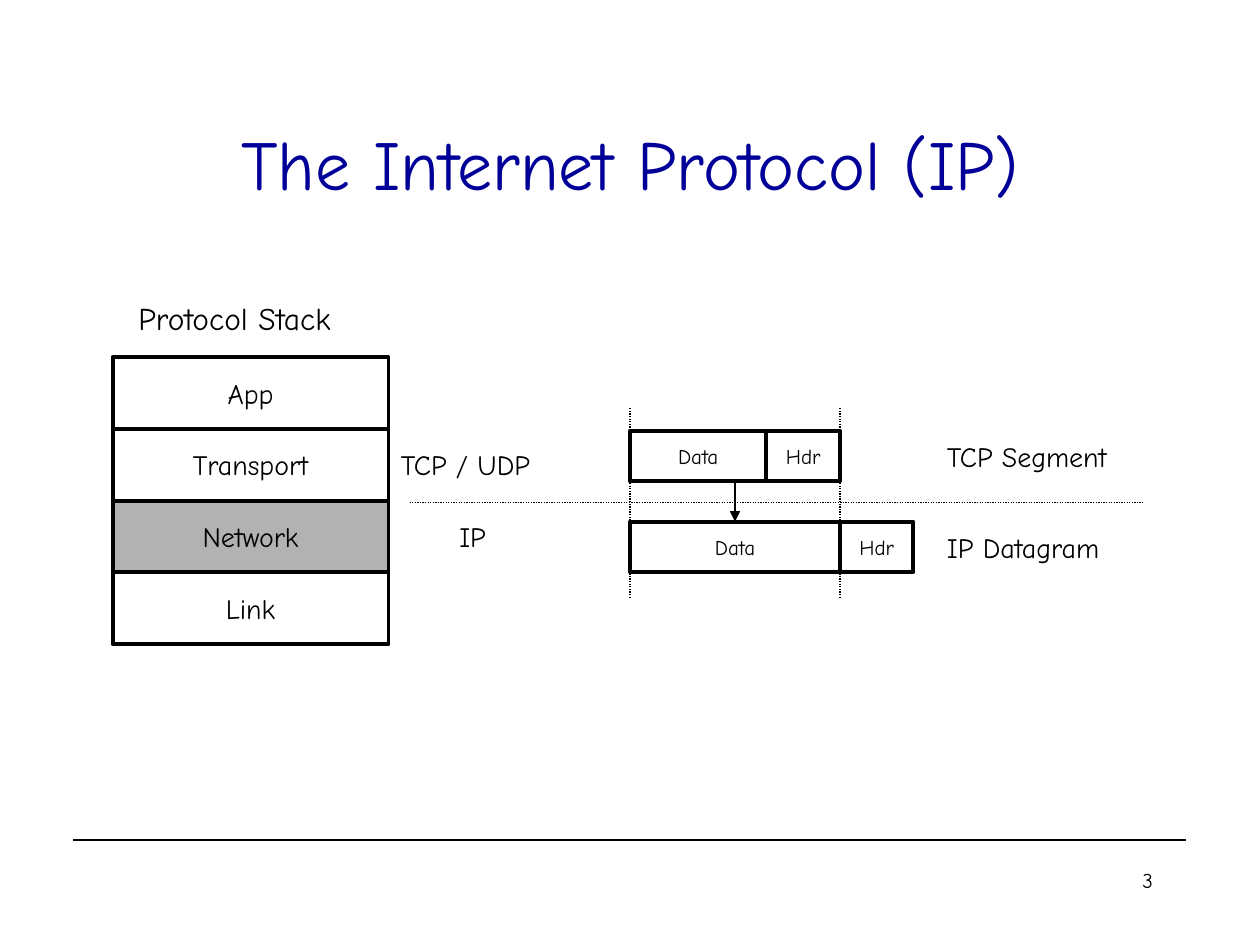
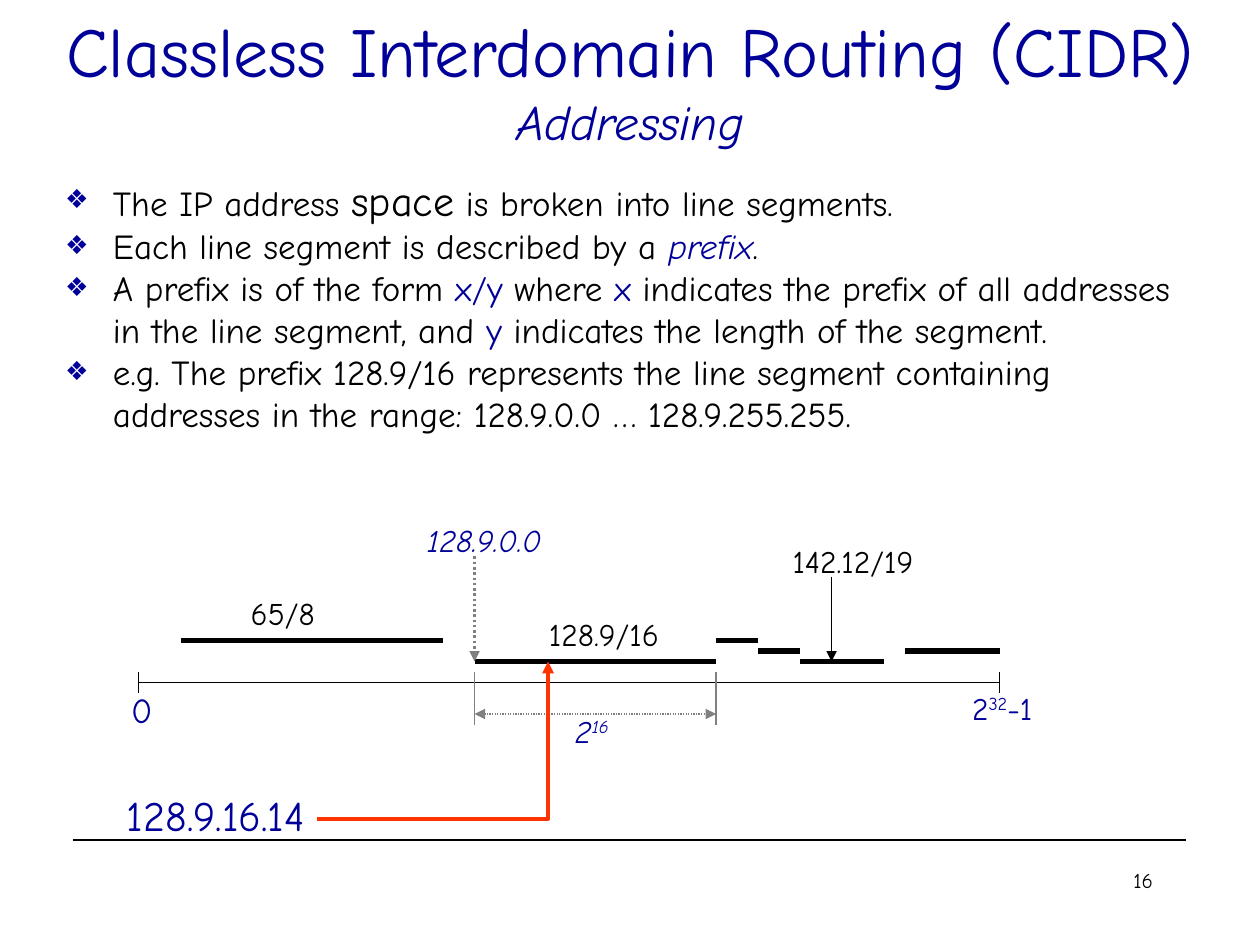
from lxml.etree import SubElement
from pptx import Presentation
from pptx.dml.color import RGBColor
from pptx.enum.dml import MSO_LINE
from pptx.enum.shapes import MSO_CONNECTOR, MSO_SHAPE
from pptx.enum.text import MSO_ANCHOR, MSO_AUTO_SIZE, PP_ALIGN
from pptx.oxml.ns import qn
from pptx.util import Inches, Pt

FONT = "Comic Neue"
BLACK = RGBColor(0x00, 0x00, 0x00)
NAVY = RGBColor(0x00, 0x00, 0x99)
SILVER = RGBColor(0xB2, 0xB2, 0xB2)
GREY = RGBColor(0x80, 0x80, 0x80)
ORANGE = RGBColor(0xFF, 0x33, 0x00)

WIDTH, HEIGHT = Inches(10), Inches(7.5)
COLUMNS, ROWS = 120, 90
TITLE_ONLY, TITLE_AND_BODY = 5, 1
BLUE = {"color": NAVY}
BLUE_ITALIC = {"color": NAVY, "italic": True}
SUPERSCRIPT = {"baseline": 30000}


def across(columns):
    return round(WIDTH * columns / COLUMNS)


def down(rows):
    return round(HEIGHT * rows / ROWS)


def place(left, top, width, height):
    return across(left), down(top), across(width), down(height)


def write(para, spans, **base):
    for span in spans:
        words, changes = (span, {}) if isinstance(span, str) else span
        style = {"size": 18, "color": BLACK, "italic": False, **base, **changes}
        run = para.add_run()
        run.text = words
        run.font.color.rgb = style["color"]
        values = {"name": FONT, "size": Pt(style["size"]), "italic": style["italic"]}
        for name, value in values.items():
            setattr(run.font, name, value)
        if "baseline" in style:
            run.font._element.set("baseline", str(style["baseline"]))


def set_values(target, **values):
    for name, value in values.items():
        setattr(target, name, value)


def add_label(shapes, spot, spans, align=PP_ALIGN.LEFT, anchor=MSO_ANCHOR.MIDDLE, **style):
    box = shapes.add_textbox(*place(*spot))
    set_values(box.text_frame, word_wrap=True, vertical_anchor=anchor)
    para = box.text_frame.paragraphs[0]
    para.alignment = align
    write(para, spans, **style)


def add_tag(shapes, spot, spans, **style):
    add_label(shapes, spot, spans, anchor=MSO_ANCHOR.TOP, **style)


def add_block(shapes, spot, words, size, fill=None):
    block = shapes.add_shape(MSO_SHAPE.RECTANGLE, *place(*spot))
    block.shadow.inherit = False
    if fill is None:
        block.fill.background()
    else:
        block.fill.solid()
        block.fill.fore_color.rgb = fill
    style_line(block, width=2.25)
    set_values(block.text_frame, word_wrap=True, vertical_anchor=MSO_ANCHOR.MIDDLE)
    para = block.text_frame.paragraphs[0]
    para.alignment = PP_ALIGN.CENTER
    write(para, [words], size=size)


def style_line(shape, color=BLACK, width=0.75, dotted=False, ends=()):
    shape.line.color.rgb = color
    shape.line.width = Pt(width)
    if dotted:
        shape.line.dash_style = MSO_LINE.ROUND_DOT
    for end in ends:
        outline = shape._element.spPr.find(qn("a:ln"))
        SubElement(outline, qn(f"a:{end}End"), type="triangle")


def add_line(shapes, start, finish, **style):
    line = shapes.add_connector(
        MSO_CONNECTOR.STRAIGHT,
        across(start[0]), down(start[1]), across(finish[0]), down(finish[1]),
    )
    style_line(line, **style)
    SubElement(line._element.spPr, qn("a:effectLst"))


def add_elbow(shapes, points, **style):
    corners = [(across(column), down(row)) for column, row in points]
    builder = shapes.build_freeform(*corners[0])
    builder.add_line_segments(corners[1:], close=False)
    elbow = builder.convert_to_shape()
    elbow.shadow.inherit = False
    elbow.fill.background()
    style_line(elbow, **style)


def move(box, spot):
    set_values(box, **dict(zip(("left", "top", "width", "height"), place(*spot))))
    box.text_frame.auto_size = MSO_AUTO_SIZE.NONE


def add_page(deck, layout, number, title, title_spot, subtitle=None):
    page = deck.slides.add_slide(deck.slide_layouts[layout])
    add_line(page.shapes, (7, 80), (113, 80))
    heading = page.shapes.title
    move(heading, title_spot)
    heading.text_frame.vertical_anchor = MSO_ANCHOR.MIDDLE
    para = heading.text_frame.paragraphs[0]
    para.alignment = PP_ALIGN.CENTER
    write(para, [title], size=40, color=NAVY)
    if subtitle:
        para.add_line_break()
        write(para, [subtitle], size=28, **BLUE_ITALIC)
    add_tag(page.shapes, (86, 82, 25, 6), [str(number)], align=PP_ALIGN.RIGHT, size=12)
    return page


def add_bullet(para):
    indent = Inches(0.38)
    properties = para._p.get_or_add_pPr()
    properties.set("marL", str(indent))
    properties.set("indent", str(-indent))
    color = SubElement(properties, qn("a:buClr"))
    SubElement(color, qn("a:srgbClr"), val=str(NAVY))
    SubElement(properties, qn("a:buSzPct"), val="75000")
    SubElement(properties, qn("a:buChar"), char="❖")


def fill_list(body, spot, items):
    move(body, spot)
    frame = body.text_frame
    for index, spans in enumerate(items):
        para = frame.add_paragraph() if index else frame.paragraphs[0]
        add_bullet(para)
        set_values(para, space_before=Pt(0), alignment=PP_ALIGN.LEFT)
        write(para, spans, size=20)


def add_stack(shapes):
    left, top, width, height = 10.72, 34, 26.28, 6.84
    add_label(shapes, (12, 27.88, 25, 4.8), ["Protocol Stack"])
    for index, layer in enumerate(("App", "Transport", "Network", "Link")):
        fill = SILVER if layer == "Network" else None
        add_block(shapes, (left, top + index * height, width, height), layer, 16, fill)
    add_label(shapes, (37, top + height, 20, height), ["TCP / UDP"], size=16)
    add_label(shapes, (37, top + 2 * height, 16, height), ["IP"],
              align=PP_ALIGN.CENTER, size=16)


def add_packets(shapes):
    left, header, height = 60, 7, 4.8
    packets = (("TCP Segment", 41.04, 13), ("IP Datagram", 49.68, 20))
    for name, top, data in packets:
        add_block(shapes, (left, top, data, height), "Data", 12)
        add_block(shapes, (left + data, top, header, height), "Hdr", 12)
        add_label(shapes, (89, top, 20, height), [name], size=16)
    add_line(shapes, (39, 47.88), (109, 47.88), dotted=True)
    for column in (left, left + 20):
        add_line(shapes, (column, 38.88), (column, 56.88), dotted=True)
    add_line(shapes, (70, 45.84), (70, 49.68), ends=["tail"])


def add_number_line(shapes):
    first, last, axis = 13.2, 95.2, 65
    add_line(shapes, (first, axis), (last, axis))
    for column in (first, last):
        add_line(shapes, (column, axis - 1), (column, axis + 1))
    add_tag(shapes, (11.3, 65, 6, 5.3), ["0"], size=20, color=NAVY)
    add_tag(shapes, (91.4, 65, 11, 4.8), ["2", ("32", SUPERSCRIPT), "-1"], color=NAVY)

    segments = ((17.2, 42.2, 61), (45.2, 68.2, 63), (68.2, 72.2, 61),
                (72.2, 76.2, 62), (76.2, 84.2, 63), (86.2, 95.2, 62))
    for start, finish, row in segments:
        add_line(shapes, (start, row), (finish, row), width=3)
    add_tag(shapes, (22.7, 56, 11, 4.8), ["65/8"])
    add_tag(shapes, (51.1, 58, 15, 4.8), ["128.9/16"])


def add_prefix_range(shapes):
    start, finish = 45.2, 68.2
    add_line(shapes, (start, 53), (start, 63), color=GREY, width=1.5,
             dotted=True, ends=["tail"])
    add_tag(shapes, (39.5, 49, 16, 4.8), ["128.9.0.0"], **BLUE_ITALIC)
    for column in (start, finish):
        add_line(shapes, (column, 64), (column, 69), color=GREY)
    add_line(shapes, (start, 68), (finish, 68), color=GREY, dotted=True,
             ends=["head", "tail"])
    add_tag(shapes, (53.6, 67.2, 8, 4.8), ["2", ("16", SUPERSCRIPT)], **BLUE_ITALIC)


def add_pointers(shapes):
    pointer = shapes.add_group_shape().shapes
    add_tag(pointer, (74.3, 51, 17, 4.8), ["142.12/19"])
    add_line(pointer, (79.2, 55), (79.2, 63), ends=["tail"])
    add_tag(shapes, (10.9, 74.6, 22, 6), ["128.9.16.14"], size=24, color=NAVY)
    add_elbow(shapes, [(30.2, 78), (52.2, 78), (52.2, 63)],
              color=ORANGE, width=2.25, ends=["tail"])


def main():
    deck = Presentation()
    deck.slide_width, deck.slide_height = WIDTH, HEIGHT

    page = add_page(deck, TITLE_ONLY, 3, "The Internet Protocol (IP)", (9, 8, 102, 15))
    add_stack(page.shapes)
    add_packets(page.shapes)

    page = add_page(deck, TITLE_AND_BODY, 16, "Classless Interdomain Routing (CIDR)",
                    (0, 0, 120, 15), "Addressing")
    fill_list(page.placeholders[1], (5, 16, 111, 54), [
        ["The IP address ", ("space", {"size": 24}), " is broken into line segments."],
        ["Each line segment is described by a ", ("prefix", BLUE_ITALIC), "."],
        ["A prefix is of the form ", ("x/y", BLUE), " where ", ("x", BLUE),
         " indicates the prefix of all addresses in the line segment, and ",
         ("y", BLUE), " indicates the length of the segment."],
        ["e.g. The prefix 128.9/16 represents the line segment containing addresses "
         "in the range: 128.9.0.0 … 128.9.255.255."],
    ])
    add_number_line(page.shapes)
    add_prefix_range(page.shapes)
    add_pointers(page.shapes)

    deck.save("out.pptx")


if __name__ == "__main__":
    main()
